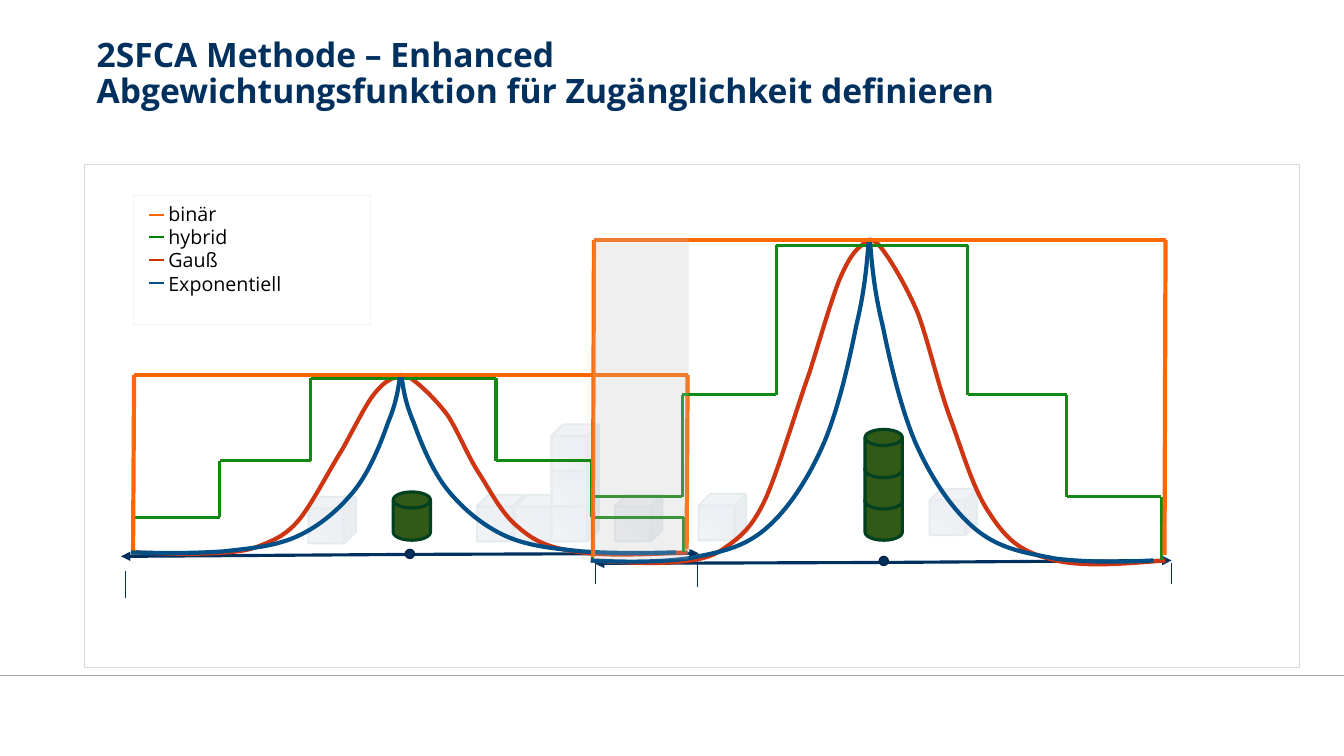
import itertools
import pptx
import pptx.dml.color
import pptx.enum.shapes
import pptx.enum.text
import pptx.oxml
import pptx.oxml.ns
import pptx.util

SHAPES = pptx.enum.shapes.MSO_SHAPE
NAVY, ORANGE, GREEN, RED, BLUE = "00305D", "FF6700", "128912", "CE3613", "004F87"

GAUSS = [
    (1.3, 5.48), (1.58, 5.49), (1.87, 5.5), (2.09, 5.49), (2.3, 5.48), (2.45, 5.47),
    (2.59, 5.41), (2.74, 5.35), (2.85, 5.3), (2.98, 5.14), (3.11, 4.97), (3.28, 4.64),
    (3.4, 4.45), (3.51, 4.25), (3.6, 4.07), (3.68, 3.95), (3.76, 3.84), (3.82, 3.79),
    (3.88, 3.76), (3.95, 3.73), (3.97, 3.69), (4.07, 3.75), (4.16, 3.81), (4.32, 3.96),
    (4.44, 4.12), (4.55, 4.29), (4.64, 4.53), (4.76, 4.71), (4.88, 4.9), (4.98, 5.1),
    (5.14, 5.23), (5.29, 5.36), (5.42, 5.43), (5.7, 5.47), (5.98, 5.52), (6.4, 5.5),
    (6.82, 5.48)]
DECAY_LEFT = [
    (3.97, 3.72), (3.95, 3.86), (3.93, 4), (3.85, 4.19), (3.78, 4.39), (3.67, 4.67),
    (3.52, 4.86), (3.37, 5.05), (3.17, 5.22), (2.95, 5.32), (2.73, 5.42), (2.49, 5.44),
    (2.22, 5.47), (1.94, 5.49), (1.62, 5.49), (1.3, 5.48)]
DECAY_RIGHT = [(3.98 + (3.97 - x) * 1.02, y) for x, y in DECAY_LEFT]
STEPS = [
    (1.32, 5.48), (1.32, 5.13), (2.18, 5.13), (2.18, 4.57), (3.08, 4.57), (3.08, 3.75),
    (4.92, 3.75), (4.92, 4.57), (5.87, 4.57), (5.87, 5.13), (6.78, 5.13), (6.78, 5.48)]
BINARY = [(1.32, 5.46), (1.33, 3.72), (6.82, 3.72), (6.81, 5.45)]


def length(inches):
    return pptx.util.Cm(inches * 2.54)


def colour(code):
    return pptx.dml.color.RGBColor.from_string(code)


def apply_format(target, values):
    for name, value in values.items():
        setattr(target, name, value)


def set_line(line, code, width):
    line.color.rgb = colour(code)
    line.width = pptx.util.Pt(width)


def add_line(page, start, end, code, width, arrow=None):
    line = page.shapes.add_connector(
        pptx.enum.shapes.MSO_CONNECTOR.STRAIGHT, *map(length, start + end))
    set_line(line.line, code, width)
    if arrow:
        tip = line.get_or_add_ln().makeelement(pptx.oxml.ns.qn(arrow), {"type": "triangle"})
        line.get_or_add_ln().append(tip)
    properties = line.element.spPr
    properties.append(properties.makeelement(pptx.oxml.ns.qn("a:effectLst"), {}))


def add_polyline(page, points, code, width):
    for start, end in itertools.pairwise(points):
        add_line(page, start, end, code, width)


def add_curve(page, points, code):
    corners = [(length(x), length(y)) for x, y in points]
    builder = page.shapes.build_freeform(*corners[0], scale=1.0)
    builder.add_line_segments(corners[1:], close=False)
    curve = builder.convert_to_shape()
    segments = list(curve.element.iter(pptx.oxml.ns.qn("a:lnTo")))
    for first in range(0, len(segments), 3):
        bezier = segments[first].makeelement(pptx.oxml.ns.qn("a:cubicBezTo"), {})
        segments[first].addprevious(bezier)
        for segment in segments[first:first + 3]:
            bezier.append(segment[0])
            segment.getparent().remove(segment)
    curve.fill.background()
    set_line(curve.line, code, 3)
    curve.shadow.inherit = False


def add_box(page, kind, place, fill=None, line=None, opacity=None):
    box = page.shapes.add_shape(kind, *map(length, place))
    box.shadow.inherit = False
    if fill:
        box.fill.solid()
        box.fill.fore_color.rgb = colour(fill)
    else:
        box.fill.background()
    if line:
        set_line(box.line, *line)
    else:
        box.line.fill.background()
    if opacity:
        tint = box.element.spPr.find(pptx.oxml.ns.qn("a:solidFill"))[0]
        tint.append(tint.makeelement(
            pptx.oxml.ns.qn("a:alpha"), {"val": str(opacity * 1000)}))
    return box


def add_cube(page, left, top):
    cube = add_box(page, SHAPES.CUBE, (left, top, 0.47, 0.46), "415D88", ("00345A", 1.5))
    gradient = pptx.oxml.parse_xml(
        f'<a:gradFill {pptx.oxml.ns.nsdecls("a")}><a:gsLst>'
        '<a:gs pos="51000"><a:srgbClr val="415D88"/></a:gs>'
        '<a:gs pos="99000"><a:srgbClr val="8293AA"/></a:gs></a:gsLst>'
        '<a:path path="circle"><a:fillToRect l="100000" b="100000"/></a:path></a:gradFill>')
    properties = cube.element.spPr
    properties.replace(properties.find(pptx.oxml.ns.qn("a:solidFill")), gradient)


def write_text(box, lines, margins, font, spacing):
    frame = box.text_frame
    left, top = map(length, margins)
    apply_format(frame, {
        "word_wrap": True, "margin_left": left, "margin_top": top,
        "margin_right": 0, "margin_bottom": 0,
        "vertical_anchor": pptx.enum.text.MSO_ANCHOR.TOP})
    for number, line in enumerate(lines):
        para = frame.add_paragraph() if number else frame.paragraphs[0]
        apply_format(para, {
            "text": line, "line_spacing": spacing,
            "alignment": pptx.enum.text.PP_ALIGN.LEFT})
        for span in para.runs:
            apply_format(span.font, {"name": "Open Sans", **font})
            span.font.color.rgb = colour("000000" if not font["bold"] else NAVY)


def add_legend(page):
    legend = add_box(page, SHAPES.RECTANGLE, (1.32, 1.94, 2.36, 1.28), "FFFFFF", ("F2F2F2", 0.75))
    entries = {"binär": "FF6600", "hybrid": "008000", "Gauß": "CC3300", "Exponentiell": BLUE}
    write_text(legend, entries, (0.35, 0.06),
               {"size": pptx.util.Pt(14), "bold": False}, pptx.util.Pt(16.7))
    for number, code in enumerate(entries.values()):
        height = 2.13 + number * 0.225
        add_line(page, (1.48, height), (1.63, height), code, 1.5)


def add_catchment(page, place):
    def placed(points):
        return [place(x, y) for x, y in points]

    add_curve(page, placed(GAUSS), RED)
    add_polyline(page, placed(STEPS), GREEN, 2.25)
    for side in (DECAY_LEFT, DECAY_RIGHT):
        add_curve(page, placed(side), BLUE)
    add_polyline(page, placed(BINARY), ORANGE, 3)


def add_axis(page, start, middle, end):
    add_line(page, start, middle, NAVY, 2.25, "a:headEnd")
    add_line(page, middle, end, NAVY, 2.25, "a:tailEnd")


def add_supply(page, left, tops, dot):
    for top in tops:
        add_box(page, SHAPES.FLOWCHART_MAGNETIC_DISK, (left, top, 0.37, 0.48),
                "325A17", ("004122", 2.25))
    add_box(page, SHAPES.OVAL, (*dot, 0.09, 0.09), NAVY, ("002445", 1))


def main():
    deck = pptx.Presentation()
    apply_format(deck, {"slide_width": length(13.33), "slide_height": length(7.5)})
    page = deck.slides.add_slide(deck.slide_layouts[6])
    add_line(page, (0, 6.7), (13.33, 6.7), "A6A6A6", 1)
    title = page.shapes.add_textbox(*map(length, (0.96, 0.38, 11.57, 0.75)))
    write_text(title, ["2SFCA Methode – Enhanced\vAbgewichtungsfunktion für Zugänglichkeit definieren"],
               (0, 0), {"size": pptx.util.Pt(24), "bold": True}, 0.9)
    add_box(page, SHAPES.RECTANGLE, (0.84, 1.63, 12.05, 4.99), line=("D9D9D9", 1))

    for left, top in [(6.93, 4.9), (9.22, 4.85), (4.73, 4.91), (5.11, 4.91), (5.47, 4.91),
                      (5.47, 4.56), (5.47, 4.21), (6.1, 4.91), (3.06, 4.93)]:
        add_cube(page, left, top)
    for x, top, bottom in [(1.24, 5.66, 5.93), (5.9, 5.59, 5.79),
                           (6.92, 5.49, 5.82), (11.62, 5.59, 5.79)]:
        add_line(page, (x, top), (x, bottom), NAVY, 0.5)
    add_axis(page, (1.2, 5.52), (4.07, 5.5), (6.93, 5.49))
    add_axis(page, (5.9, 5.59), (8.77, 5.58), (11.62, 5.56))
    add_box(page, SHAPES.RECTANGLE, (1.8, 3.42, 9.73, 2.03), "FFFFFF", opacity=90)

    add_catchment(page, lambda x, y: (x, y))
    add_legend(page)
    add_catchment(page, lambda x, y: (5.86 + (x - 1.3) * 5.7 / 5.52,
                                      5.56 + (y - 5.48) * 3.18 / 1.76))
    add_box(page, SHAPES.RECTANGLE, (5.88, 2.36, 0.95, 3.19), "BFBFBF", opacity=24)
    add_supply(page, 3.9, [4.88], (4.02, 5.45))
    add_supply(page, 8.58, [4.88, 4.57, 4.26], (8.72, 5.52))
    deck.save("out.pptx")


if __name__ == "__main__":
    main()
